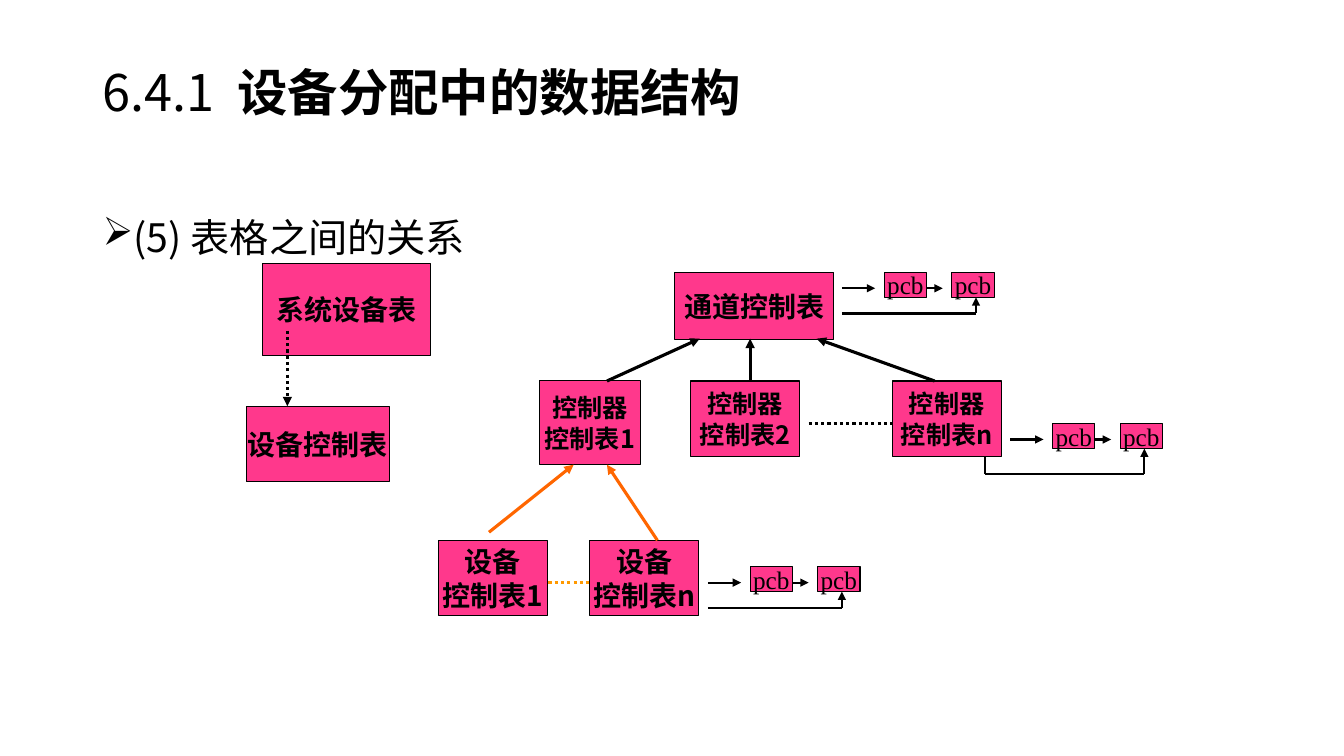
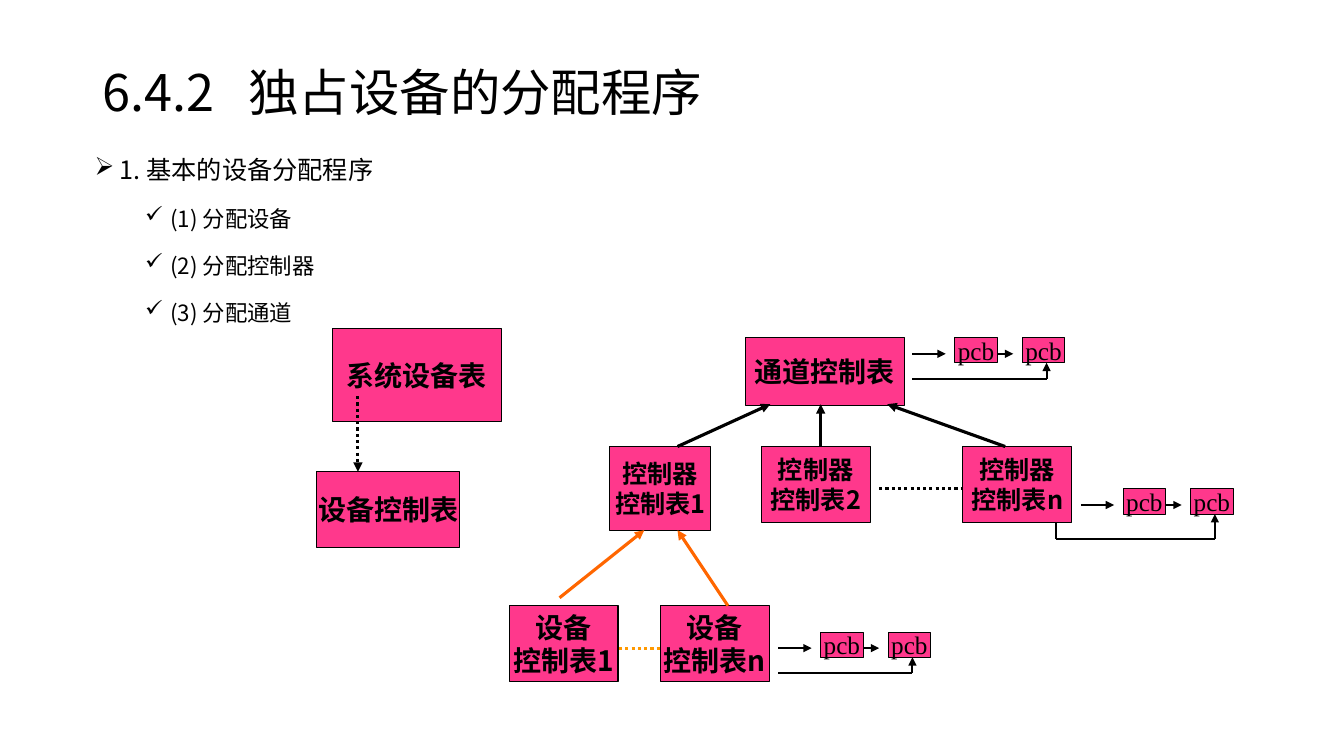
from lxml import etree
from pptx import Presentation
from pptx.dml.color import RGBColor
from pptx.enum.dml import MSO_LINE
from pptx.enum.shapes import MSO_CONNECTOR, MSO_SHAPE
from pptx.enum.text import MSO_ANCHOR, PP_ALIGN
from pptx.oxml.ns import qn
from pptx.util import Inches, Pt

BLACK = RGBColor(0x00, 0x00, 0x00)
PINK = RGBColor(0xFF, 0x38, 0x8C)
ORANGE = RGBColor(0xFF, 0x66, 0x00)
AMBER = RGBColor(0xFF, 0x99, 0x00)
SANS = "Noto Sans CJK SC"
SERIF = "Times New Roman"
RECTANGLE = MSO_SHAPE.RECTANGLE
STRAIGHT = MSO_CONNECTOR.STRAIGHT
DOTTED = MSO_LINE.ROUND_DOT
MIDDLE = MSO_ANCHOR.MIDDLE
CENTER = PP_ALIGN.CENTER

BULLETS = ["➢", "✓"]
LEFT_MARGINS = [0.25, 0.75]
SPACE_BEFORE = [10, 5]
TITLE_FRAME = (0.92, 0.4, 11.5, 1.09)

# title: (text, bold) runs; body: (level, size, text); offset moves the diagram
PAGES = [
    {
        "title": [("6.4.1  ", False), ("设备分配中的数据结构", True)],
        "body_frame": (0.92, 1.83, 11.5, 4.93),
        "body": [(0, 28, "(5) 表格之间的关系")],
        "offset": (0, 0),
    },
    {
        "title": [("6.4.2   独占设备的分配程序", False)],
        "body_frame": (0.84, 1.33, 11.5, 5.47),
        "body": [
            (0, 18, "1. 基本的设备分配程序"),
            (1, 16, "(1) 分配设备"),
            (1, 16, "(2) 分配控制器"),
            (1, 16, "(3) 分配通道"),
        ],
        "offset": (0.7, 0.65),
    },
]

# left, top, width, height, text size, lines
TABLE_BOXES = [
    (2.6, 2.61, 1.67, 0.92, 20, ["系统设备表"]),
    (2.44, 4.03, 1.42, 0.75, 20, ["设备控制表"]),
    (6.69, 2.7, 1.58, 0.67, 20, ["通道控制表"]),
    (5.35, 3.78, 1, 0.83, 18, ["控制器", "控制表1"]),
    (6.85, 3.78, 1.08, 0.75, 18, ["控制器", "控制表2"]),
    (8.85, 3.78, 1.08, 0.75, 18, ["控制器", "控制表n"]),
    (4.35, 5.36, 1.08, 0.75, 20, ["设备", "控制表1"]),
    (5.85, 5.36, 1.08, 0.75, 20, ["设备", "控制表n"]),
]

# start, end, colour, dotted, arrow
RELATIONS = [
    ((2.85, 3.28), (2.85, 4.03), BLACK, True, True),
    ((6.02, 3.78), (6.94, 3.36), BLACK, False, True),
    ((7.44, 3.78), (7.44, 3.36), BLACK, False, True),
    ((9.27, 3.78), (8.1, 3.36), BLACK, False, True),
    ((8.02, 4.2), (8.85, 4.2), BLACK, True, False),
    ((5.44, 5.78), (5.85, 5.78), AMBER, True, False),
    ((4.85, 5.28), (5.69, 4.61), ORANGE, False, True),
    ((6.52, 5.36), (6.02, 4.61), ORANGE, False, True),
]

# start of the queue, then the points its lower line runs through
PCB_QUEUES = [
    ((8.35, 2.86), [(8.35, 3.11)]),
    ((10.02, 4.36), [(9.77, 4.53), (9.77, 4.7)]),
    ((7.02, 5.78), [(7.02, 6.03)]),
]
PCB_WIDTH, PCB_HEIGHT = 0.42, 0.25
PCB_FIRST, PCB_STEP = 0.42, 0.67
PCB_RISE = 0.16
ARROW_GAP = 0.09
RETURN_X = 1.33


def style_paragraph(para, size, name=SANS, bold=None):
    font = para.font
    font.size = Pt(size)
    font.color.rgb = BLACK
    font.bold = bold
    font.name = name
    properties = para._p.pPr.find(qn("a:defRPr"))
    etree.SubElement(properties, qn("a:ea")).set("typeface", name)


def add_text_frame(page, frame):
    text_frame = page.shapes.add_textbox(*map(Inches, frame)).text_frame
    text_frame.word_wrap = True
    return text_frame


def add_title(page, runs):
    text_frame = add_text_frame(page, TITLE_FRAME)
    text_frame.vertical_anchor = MIDDLE
    para = text_frame.paragraphs[0]
    para.line_spacing = 0.9
    style_paragraph(para, 36)
    for text, bold in runs:
        span = para.add_run()
        span.text = text
        span.font.bold = bold


def add_body(page, frame, items):
    text_frame = add_text_frame(page, frame)
    for index, (level, size, text) in enumerate(items):
        para = text_frame.add_paragraph() if index else text_frame.paragraphs[0]
        para.text = text
        para.level = level
        para.line_spacing = 1.5
        para.space_before = Pt(SPACE_BEFORE[level])
        properties = para._p.get_or_add_pPr()
        properties.set("marL", str(Inches(LEFT_MARGINS[level])))
        properties.set("indent", str(Inches(-0.25)))
        etree.SubElement(properties, qn("a:buChar")).set("char", BULLETS[level])
        style_paragraph(para, size)


class Diagram:
    """A group of boxes and lines, all moved by one offset in inches."""

    def __init__(self, page, offset):
        self.shapes = page.shapes.add_group_shape().shapes
        self.dx, self.dy = offset

    def place(self, x, y):
        return Inches(x + self.dx), Inches(y + self.dy)

    def add_box(self, left, top, width, height, size, lines, name=SANS, bold=True):
        box = self.shapes.add_shape(
            RECTANGLE, *self.place(left, top), Inches(width), Inches(height))
        box.shadow.inherit = False
        box.fill.solid()
        box.fill.fore_color.rgb = PINK
        box.line.color.rgb = BLACK
        box.line.width = Pt(0.75)
        text_frame = box.text_frame
        text_frame.word_wrap = False
        text_frame.vertical_anchor = MIDDLE
        text_frame.text = "\n".join(lines)
        for para in text_frame.paragraphs:
            para.alignment = CENTER
            style_paragraph(para, size, name, bold)

    def add_line(self, start, end, color=BLACK, dotted=False, arrow=False, width=1.5):
        connector = self.shapes.add_connector(
            STRAIGHT, *self.place(*start), *self.place(*end))
        connector.line.color.rgb = color
        connector.line.width = Pt(width)
        if dotted:
            connector.line.dash_style = DOTTED
        if arrow:
            outline = connector.line._get_or_add_ln()
            etree.SubElement(outline, qn("a:tailEnd")).set("type", "triangle")
        etree.SubElement(connector._element.spPr, qn("a:effectLst"))

    def add_pcb_queue(self, start, lower_points):
        """Two linked pcb boxes, with a lower line that ends under the last one."""
        x, y = start
        first = x + PCB_FIRST
        second = first + PCB_STEP
        top = y - PCB_RISE
        for left in (first, second):
            self.add_box(left, top, PCB_WIDTH, PCB_HEIGHT, 18, ["pcb"], SERIF, False)
        for tail, box_left in ((x, first), (first + PCB_WIDTH, second)):
            self.add_line((tail, y), (box_left - ARROW_GAP, y), arrow=True)
        corner = (x + RETURN_X, lower_points[-1][1])
        route = lower_points + [corner]
        for begin, end in zip(route, route[1:]):
            self.add_line(begin, end)
        self.add_line(corner, (corner[0], top + PCB_HEIGHT), arrow=True)


def main():
    deck = Presentation()
    deck.slide_width, deck.slide_height = Inches(13.33), Inches(7.5)
    for content in PAGES:
        page = deck.slides.add_slide(deck.slide_layouts[6])
        add_title(page, content["title"])
        add_body(page, content["body_frame"], content["body"])
        diagram = Diagram(page, content["offset"])
        for box in TABLE_BOXES:
            diagram.add_box(*box)
        for relation in RELATIONS:
            diagram.add_line(*relation, width=2.25)
        for queue in PCB_QUEUES:
            diagram.add_pcb_queue(*queue)
    deck.save("out.pptx")


if __name__ == "__main__":
    main()
